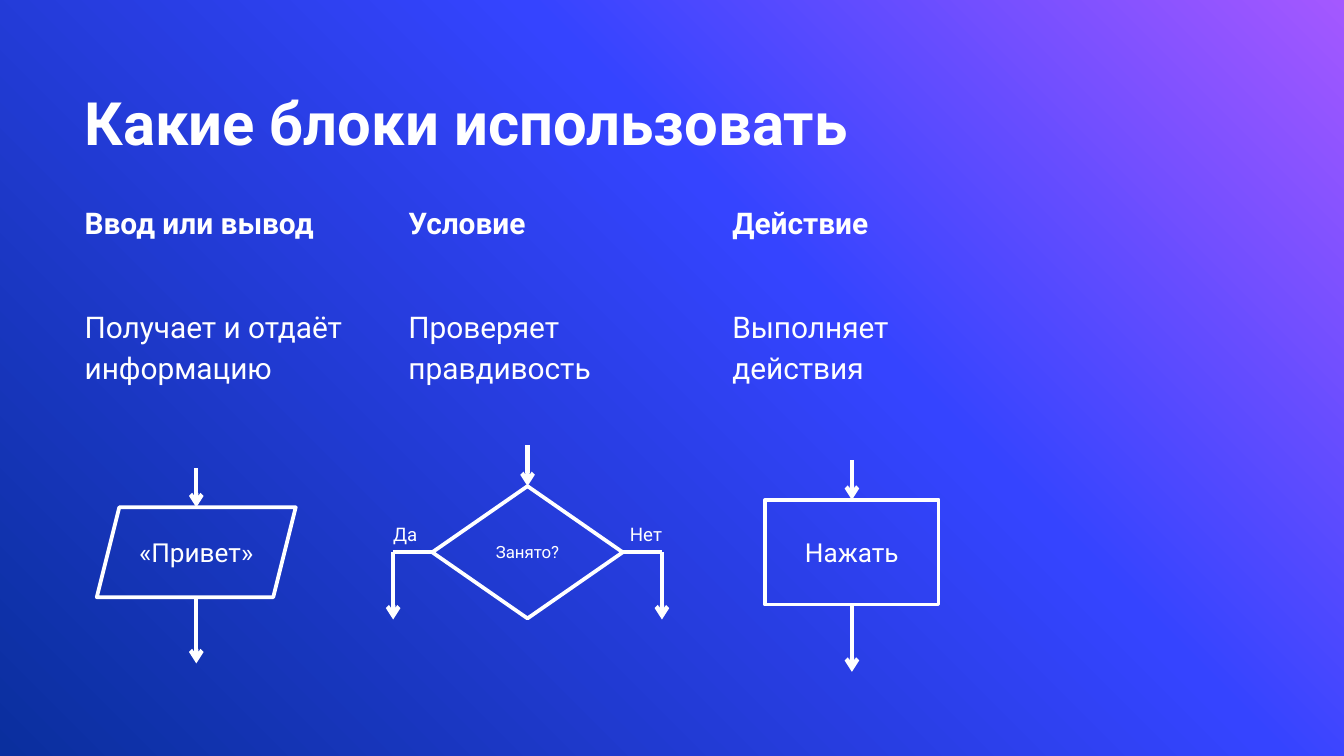
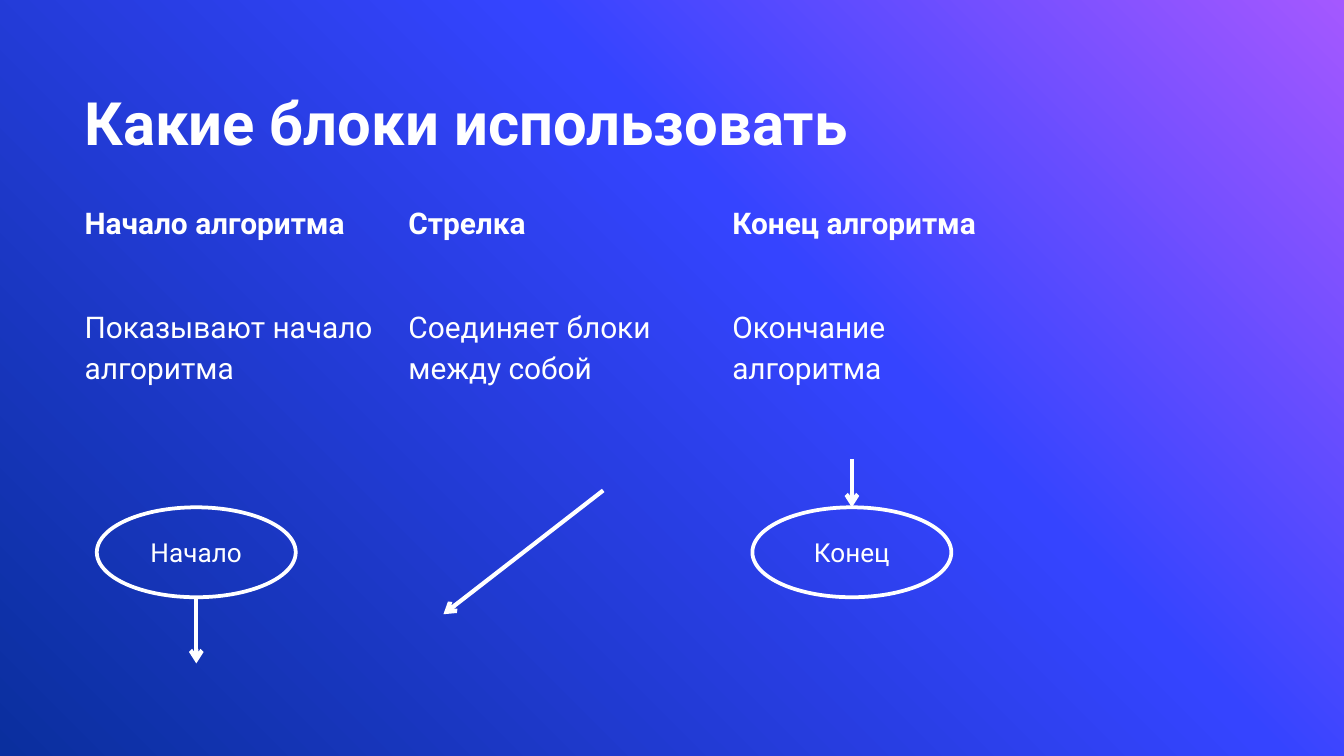
from copy import deepcopy
from dataclasses import dataclass

from lxml.etree import SubElement
from pptx import Presentation
from pptx.dml.color import RGBColor
from pptx.enum.shapes import MSO_CONNECTOR as Connector, MSO_SHAPE as Preset
from pptx.enum.text import MSO_ANCHOR as Anchor, MSO_AUTO_SIZE as AutoSize, PP_ALIGN as Align
from pptx.oxml.ns import qn
from pptx.util import Cm, Pt


@dataclass(frozen=True)
class Theme:
    font: str = "Roboto"
    ink: RGBColor = RGBColor(0xFF, 0xFF, 0xFF)
    gradient: tuple = ((0, "A458FF"), (0.39, "3544FF"), (1, "0A2F9E"))
    gradient_angle: int = 225
    title_size: int = 32
    body_size: int = 16
    block_size: int = 14
    condition_size: int = 9
    branch_size: int = 10
    outline: float = 2
    arrow: float = 2.25
    body_leading: float = 1.15
    body_gap: int = 6
    description_gap: int = 34


@dataclass(frozen=True)
class Block:
    preset: Preset
    text: str
    center: float
    width: float
    height: float
    size: int
    inflow: float = 0
    outflow: float = 0
    branches: tuple = ()

    @property
    def top(self) -> float:
        return BLOCK_MIDDLE - self.height / 2

    @property
    def bottom(self) -> float:
        return BLOCK_MIDDLE + self.height / 2


@dataclass(frozen=True)
class Arrow:
    tip: tuple
    tail: tuple


@dataclass(frozen=True)
class Column:
    heading: str
    description: str
    figure: Block | Arrow


THEME = Theme()
TITLE = "Какие блоки использовать"

# Layout grid, in centimetres
LEFT, COLUMN_STEP, COLUMN_WIDTH = 1.6, 6.12, 5.56
BODY_TOP, BODY_HEIGHT = 3.76, 8.89
CENTERS = (3.71, 9.97, 16.1)
BLOCK_MIDDLE = 10.44
BRANCH_REACH, BRANCH_DROP = 0.74, 1.27
LABEL_TOP, LABEL_WIDTH, LABEL_HEIGHT, LABEL_OVERHANG = 9.75, 1.55, 0.69, 0.25

# Shapes whose four connection sites are top, left, bottom, right
FOUR_SITED = (Preset.RECTANGLE, Preset.DIAMOND)
TOP, LEFT_SIDE, BOTTOM, RIGHT_SIDE = range(4)

SLIDES = (
    (
        Column("Ввод или вывод", "Получает и отдаёт информацию",
               Block(Preset.PARALLELOGRAM, "«Привет»", CENTERS[0], 3.76, 1.7,
                     THEME.block_size, 0.74, 1.25)),
        Column("Условие", "Проверяет правдивость",
               Block(Preset.DIAMOND, "Занято?", CENTERS[1], 3.6, 2.5,
                     THEME.condition_size, 0.78, branches=("Да", "Нет"))),
        Column("Действие", "Выполняет действия",
               Block(Preset.RECTANGLE, "Нажать", CENTERS[2], 3.28, 1.98,
                     THEME.block_size, 0.76, 1.27)),
    ),
    (
        Column("Начало алгоритма", "Показывают начало алгоритма",
               Block(Preset.OVAL, "Начало", CENTERS[0], 3.76, 1.7,
                     THEME.block_size, outflow=1.25)),
        Column("Стрелка", "Соединяет блоки между собой",
               Arrow((8.38, 11.61), (11.4, 9.27))),
        Column("Конец алгоритма", "Окончание алгоритма",
               Block(Preset.OVAL, "Конец", CENTERS[2], 3.76, 1.7,
                     THEME.block_size, inflow=0.91)),
    ),
)


def paint_background(master) -> None:
    fill = master.background.fill
    fill.gradient()
    fill.gradient_angle = THEME.gradient_angle
    stops = master.element.find(".//" + qn("a:gsLst"))
    stops.append(deepcopy(stops[-1]))
    for stop, (position, color) in zip(fill.gradient_stops, THEME.gradient):
        stop.position = position
        stop.color.rgb = RGBColor.from_string(color)


def add_span(para, text: str, size: int, bold: bool = False) -> None:
    span = para.add_run()
    span.text = text
    span.font.name = THEME.font
    span.font.size = Pt(size)
    span.font.bold = bold
    span.font.color.rgb = THEME.ink


def place(box, left: float, top: float, width: float, height: float, anchor: Anchor):
    """Move a placeholder and clear its insets; return its text frame."""
    box.left, box.top, box.width, box.height = map(Cm, (left, top, width, height))
    frame = box.text_frame
    frame.margin_left = frame.margin_top = frame.margin_right = frame.margin_bottom = 0
    frame.vertical_anchor = anchor
    frame.auto_size = AutoSize.NONE
    frame.word_wrap = True
    return frame


def fill_title(box) -> None:
    para = place(box, LEFT, 0.58, 17.81, 2.39, Anchor.BOTTOM).paragraphs[0]
    para.alignment = Align.LEFT
    add_span(para, TITLE, THEME.title_size, bold=True)


def fill_column(box, index: int, column: Column) -> None:
    frame = place(box, LEFT + index * COLUMN_STEP, BODY_TOP,
                  COLUMN_WIDTH, BODY_HEIGHT, Anchor.TOP)
    lines = (
        (frame.paragraphs[0], column.heading, True, THEME.body_gap),
        (frame.add_paragraph(), column.description, False, THEME.description_gap),
    )
    for para, text, bold, gap in lines:
        para.line_spacing = THEME.body_leading
        para.space_before = Pt(gap)
        properties = para._p.get_or_add_pPr()
        properties.set("marL", "0")
        properties.set("indent", "0")
        SubElement(properties, qn("a:buNone"))
        add_span(para, text, THEME.body_size, bold)


def add_line(page, start: tuple, end: tuple, pointed: bool = True):
    """Draw a straight line, with its arrowhead at the start."""
    line = page.shapes.add_connector(Connector.STRAIGHT, *map(Cm, (*start, *end)))
    line.line.color.rgb = THEME.ink
    line.line.width = Pt(THEME.arrow)
    if pointed:
        SubElement(line.line._get_or_add_ln(), qn("a:headEnd"), type="arrow")
    SubElement(line._element.spPr, qn("a:effectLst"))
    return line


def add_branches(page, block: Block, shape) -> None:
    sides = ((-1, LEFT_SIDE, Align.LEFT), (1, RIGHT_SIDE, Align.RIGHT))
    for text, (direction, site, alignment) in zip(block.branches, sides):
        corner = block.center + direction * block.width / 2
        outer = corner + direction * BRANCH_REACH
        stub = add_line(page, (outer, BLOCK_MIDDLE), (corner, BLOCK_MIDDLE), pointed=False)
        stub.end_connect(shape, site)
        add_line(page, (outer, BLOCK_MIDDLE + BRANCH_DROP), (outer, BLOCK_MIDDLE))

        edge = outer + direction * LABEL_OVERHANG
        left = edge if direction < 0 else edge - LABEL_WIDTH
        label = page.shapes.add_textbox(
            *map(Cm, (left, LABEL_TOP, LABEL_WIDTH, LABEL_HEIGHT)))
        label.text_frame.word_wrap = True
        label.text_frame.auto_size = AutoSize.SHAPE_TO_FIT_TEXT
        para = label.text_frame.paragraphs[0]
        para.alignment = alignment
        add_span(para, text, THEME.branch_size)


def add_block(page, block: Block) -> None:
    shape = page.shapes.add_shape(block.preset, *map(Cm, (
        block.center - block.width / 2, block.top, block.width, block.height)))
    shape.shadow.inherit = False
    shape.fill.background()
    shape.line.color.rgb = THEME.ink
    shape.line.width = Pt(THEME.outline)
    shape.text_frame.vertical_anchor = Anchor.MIDDLE
    para = shape.text_frame.paragraphs[0]
    para.alignment = Align.CENTER
    add_span(para, block.text, block.size)

    joined = block.preset in FOUR_SITED
    if block.inflow:
        line = add_line(page, (block.center, block.top),
                        (block.center, block.top - block.inflow))
        if joined:
            line.begin_connect(shape, TOP)
    if block.outflow:
        line = add_line(page, (block.center, block.bottom + block.outflow),
                        (block.center, block.bottom))
        if joined:
            line.end_connect(shape, BOTTOM)
    add_branches(page, block, shape)


def add_page(deck, columns: tuple) -> None:
    # The comparison layout offers a title and four bodies
    page = deck.slides.add_slide(deck.slide_layouts[4])
    title, *bodies = page.placeholders
    fill_title(title)
    for index, (box, column) in enumerate(zip(bodies, columns)):
        fill_column(box, index, column)
    for spare in bodies[len(columns):]:
        spare._element.getparent().remove(spare._element)

    # Flowchart figures under the columns
    for column in columns:
        if isinstance(column.figure, Block):
            add_block(page, column.figure)
        else:
            add_line(page, column.figure.tip, column.figure.tail)


def main() -> None:
    deck = Presentation()
    deck.slide_width, deck.slide_height = Cm(25.4), Cm(14.29)
    paint_background(deck.slide_master)
    for columns in SLIDES:
        add_page(deck, columns)
    deck.save("out.pptx")


if __name__ == "__main__":
    main()
